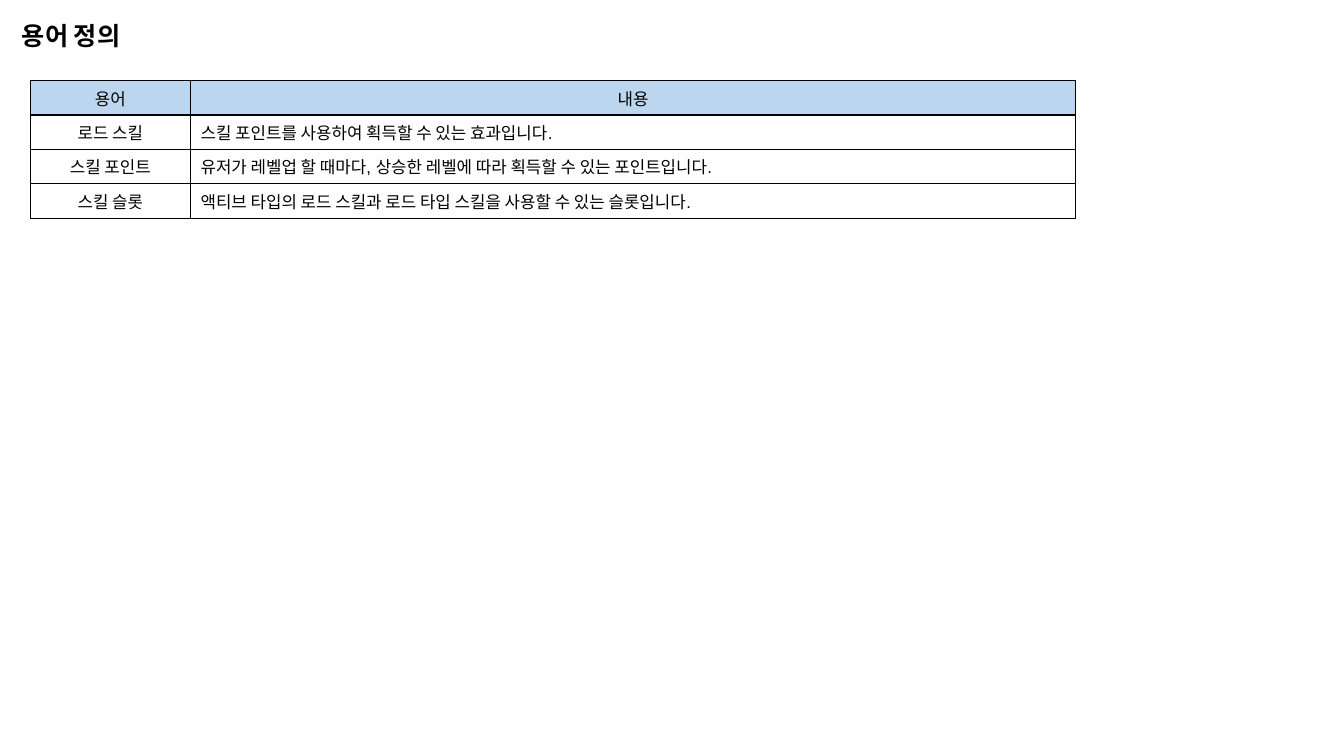
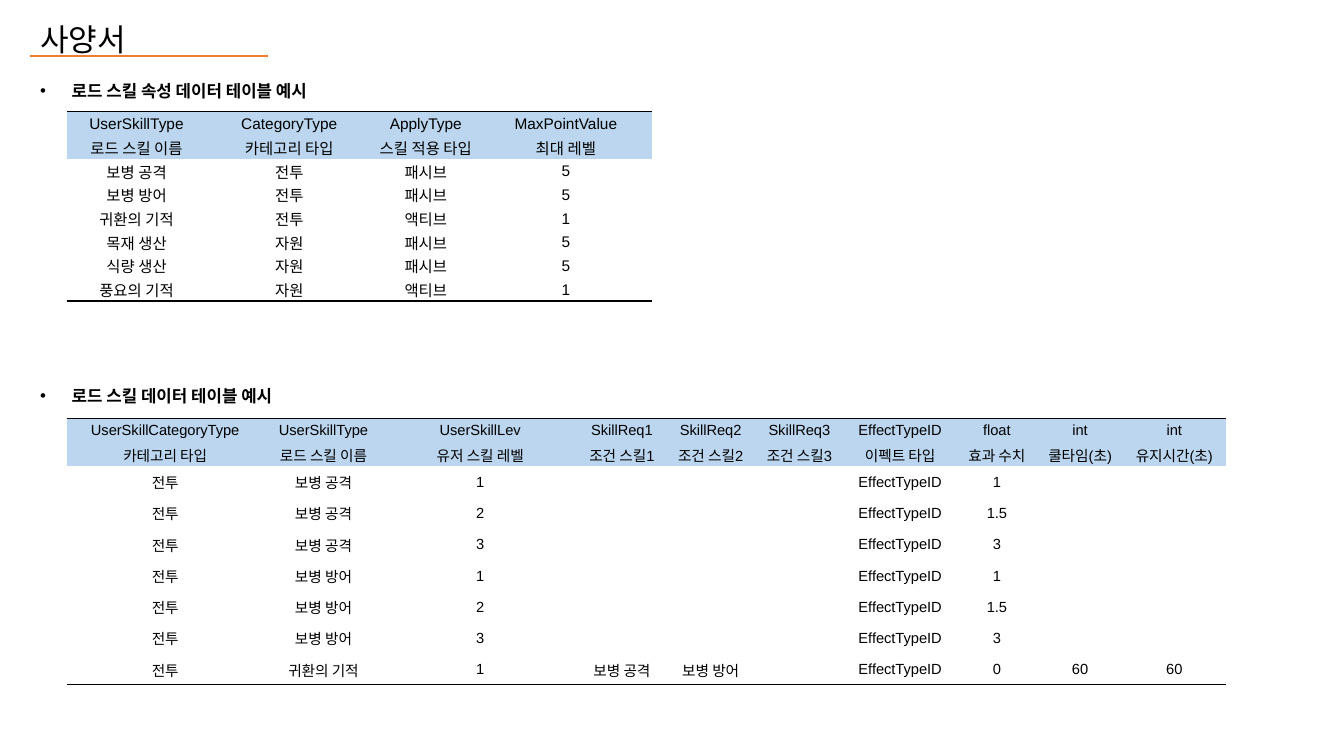
from dataclasses import dataclass
from lxml import etree
from pptx import Presentation
from pptx.dml.color import RGBColor
from pptx.enum import shapes, text
from pptx.oxml.ns import qn
from pptx.util import Pt


@dataclass(frozen=True)
class Theme:
    font: str = "Arial"
    ink: str = "000000"
    header: str = "BBD6EE"
    accent: str = "ED7D31"
    term_title: float = 18
    spec_title: float = 22.2
    body: float = 12
    data: float = 11
    data_small: float = 10.5
    rule: float = 1.5
    border: float = 1


T = Theme()
MARGIN = 21.6
DATA_LEFT = 47.5
CENTER, LEFT = text.PP_ALIGN.CENTER, text.PP_ALIGN.LEFT

TERMS = [
    ("용어", "내용"),
    ("로드 스킬", "스킬 포인트를 사용하여 획득할 수 있는 효과입니다."),
    ("스킬 포인트", "유저가 레벨업 할 때마다, 상승한 레벨에 따라 획득할 수 있는 포인트입니다."),
    ("스킬 슬롯", "액티브 타입의 로드 스킬과 로드 타입 스킬을 사용할 수 있는 슬롯입니다."),
]
ATTRIBUTES = [
    ("UserSkillType", "CategoryType", "ApplyType", "MaxPointValue"),
    ("로드 스킬 이름", "카테고리 타입", "스킬 적용 타입", "최대 레벨"),
    ("보병 공격", "전투", "패시브", "5"),
    ("보병 방어", "전투", "패시브", "5"),
    ("귀환의 기적", "전투", "액티브", "1"),
    ("목재 생산", "자원", "패시브", "5"),
    ("식량 생산", "자원", "패시브", "5"),
    ("풍요의 기적", "자원", "액티브", "1"),
]
SKILLS = [
    ("UserSkillCategoryType", "UserSkillType", "UserSkillLev", "SkillReq1", "SkillReq2",
     "SkillReq3", "EffectTypeID", "float", "int", "int"),
    ("카테고리 타입", "로드 스킬 이름", "유저 스킬 레벨", "조건 스킬1", "조건 스킬2",
     "조건 스킬3", "이펙트 타입", "효과 수치", "쿨타임(초)", "유지시간(초)"),
    ("전투", "보병 공격", "1", "", "", "", "EffectTypeID", "1", "", ""),
    ("전투", "보병 공격", "2", "", "", "", "EffectTypeID", "1.5", "", ""),
    ("전투", "보병 공격", "3", "", "", "", "EffectTypeID", "3", "", ""),
    ("전투", "보병 방어", "1", "", "", "", "EffectTypeID", "1", "", ""),
    ("전투", "보병 방어", "2", "", "", "", "EffectTypeID", "1.5", "", ""),
    ("전투", "보병 방어", "3", "", "", "", "EffectTypeID", "3", "", ""),
    ("전투", "귀환의 기적", "1", "보병 공격", "보병 방어", "", "EffectTypeID", "0", "60", "60"),
]
SECTIONS = [
    dict(heading="로드 스킬 속성 데이터 테이블 예시", heading_top=46.8, top=79.9,
         rows=ATTRIBUTES, size=T.data, widths=(100.1, 118.1, 77, 123.1),
         head_height=16.9, row_height=16.9),
    dict(heading="로드 스킬 데이터 테이블 예시", heading_top=265, top=298.8,
         rows=SKILLS, size=T.data_small,
         widths=(141.1, 85, 139, 63.4, 63.4, 63.4, 80.6, 57.6, 61.2, 73.4),
         head_height=17.1, row_height=20.95),
]


def set_attrs(obj, **values):
    for name, value in values.items():
        setattr(obj, name, value)


def write(p, words, size, bold=False, **layout):
    set_attrs(p, **layout)
    if words:
        r = p.add_run()
        r.text = words
        set_attrs(r.font, name=T.font, size=Pt(size), bold=bold)
        r.font.color.rgb = RGBColor.from_string(T.ink)


def add_text(s, box, words, size, bullet=False, **layout):
    tf = s.shapes.add_textbox(*map(Pt, box)).text_frame
    tf.word_wrap = True
    p = tf.paragraphs[0]
    if bullet:
        pPr = p._p.get_or_add_pPr()
        set_indent = {"marL": Pt(22.5), "indent": -Pt(22.5)}
        for name, value in set_indent.items():
            pPr.set(name, str(int(value)))
        color = etree.SubElement(pPr, qn("a:buClr"))
        etree.SubElement(color, qn("a:srgbClr"), val=T.ink)
        etree.SubElement(pPr, qn("a:buFont"), typeface=T.font)
        etree.SubElement(pPr, qn("a:buChar"), char="•")
    write(p, words, size, **layout)


def set_borders(cell, sides):
    tcPr = cell._tc.get_or_add_tcPr()
    for side in "LRTB":
        ln = etree.SubElement(tcPr, qn(f"a:ln{side}"), w=str(int(Pt(T.border))))
        if side in sides:
            fill = etree.SubElement(ln, qn("a:solidFill"))
            etree.SubElement(fill, qn("a:srgbClr"), val=T.ink)
        else:
            etree.SubElement(ln, qn("a:noFill"))


def add_table(s, left, top, rows, widths, heights, size, head_rows,
              grid=False, left_columns=(), margins=None):
    box = (left, top, sum(widths), sum(heights))
    table = s.shapes.add_table(len(rows), len(widths), *map(Pt, box)).table
    set_attrs(table, first_row=False, horz_banding=False)
    for column, width in zip(table.columns, widths):
        column.width = Pt(width)
    for i, values in enumerate(rows):
        table.rows[i].height = Pt(heights[i])
        outer = ("T" if i == 0 else "") + ("B" if i == len(rows) - 1 else "")
        for j, words in enumerate(values):
            cell = table.cell(i, j)
            set_attrs(cell, vertical_anchor=text.MSO_ANCHOR.MIDDLE, **(margins or {}))
            set_borders(cell, "LRTB" if grid else outer)
            if i < head_rows:
                cell.fill.solid()
                cell.fill.fore_color.rgb = RGBColor.from_string(T.header)
            else:
                cell.fill.background()
            align = LEFT if i >= head_rows and j in left_columns else CENTER
            write(cell.text_frame.paragraphs[0], words, size, alignment=align)


def add_rule(s, x1, x2, y):
    line = s.shapes.add_connector(shapes.MSO_CONNECTOR.STRAIGHT, Pt(x1), Pt(y), Pt(x2), Pt(y))
    line.line.color.rgb = RGBColor.from_string(T.accent)
    line.line.width = Pt(T.rule)
    etree.SubElement(line._element.spPr, qn("a:effectLst"))


def terms_slide(s):
    add_text(s, (8.6, 10.8, 194.4, 28.8), "용어 정의", T.term_title, bold=True)
    add_table(s, MARGIN, 57.6, TERMS, (114.5, 632.2), [24.6] * len(TERMS), T.body,
              head_rows=1, grid=True, left_columns=(1,))


def spec_slide(s):
    add_text(s, (MARGIN, 0.7, 467.3, 46.1), "사양서", T.spec_title, line_spacing=1.4)
    add_rule(s, MARGIN, 191.5, 39.9)
    margins = dict(margin_left=Pt(0.7), margin_right=Pt(0.7), margin_top=Pt(0.7), margin_bottom=0)
    for part in SECTIONS:
        add_text(s, (MARGIN, part["heading_top"], 366.5, 28.8), part["heading"], T.body,
                 bullet=True, bold=True, line_spacing=1.5)
        heights = [part["head_height"]] * 2 + [part["row_height"]] * (len(part["rows"]) - 2)
        add_table(s, DATA_LEFT, part["top"], part["rows"], part["widths"], heights,
                  part["size"], head_rows=2, margins=margins)


def main():
    prs = Presentation()
    set_attrs(prs, slide_width=Pt(960), slide_height=Pt(540))
    for build in (terms_slide, spec_slide):
        build(prs.slides.add_slide(prs.slide_layouts[6]))
    prs.save("out.pptx")


if __name__ == "__main__":
    main()
